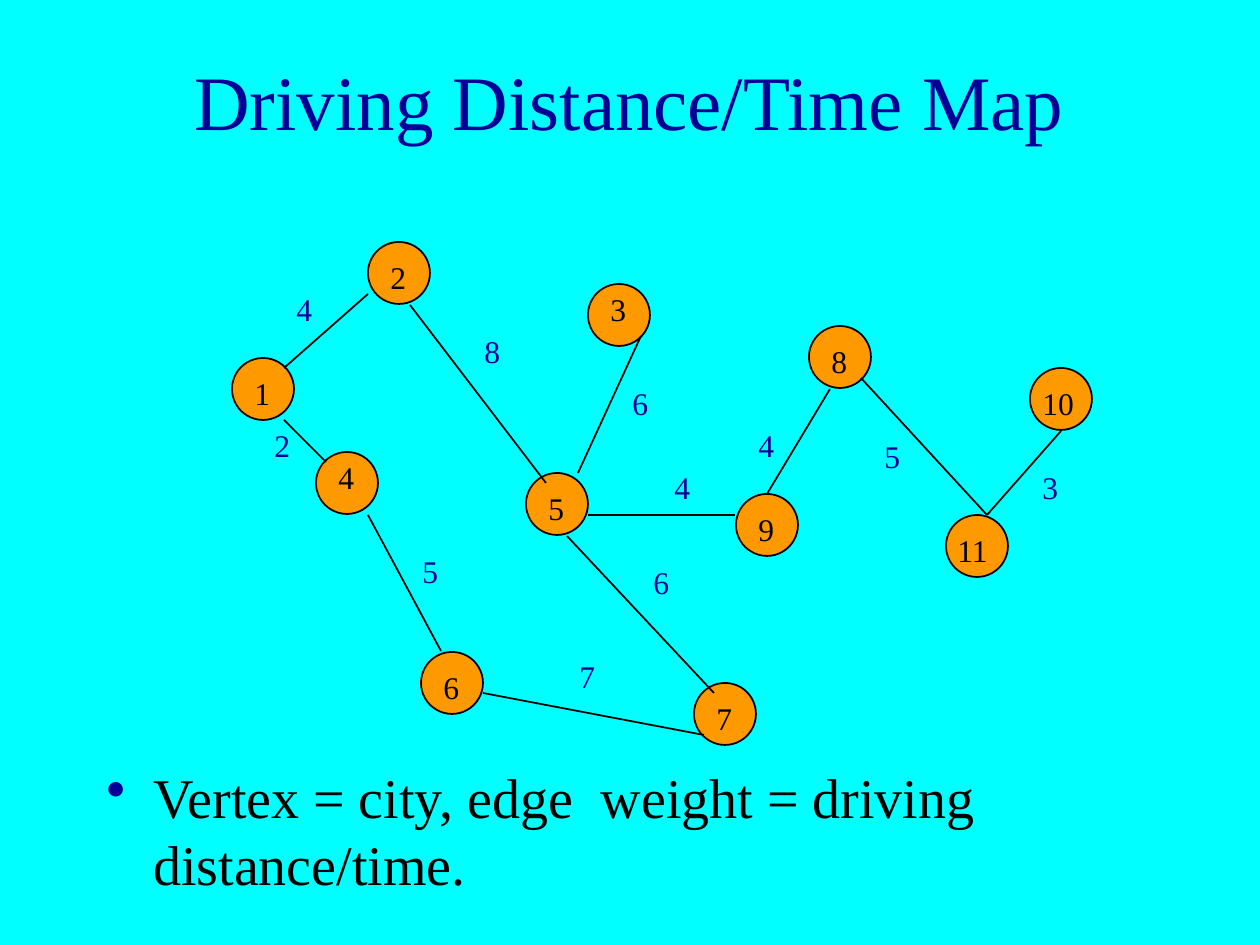
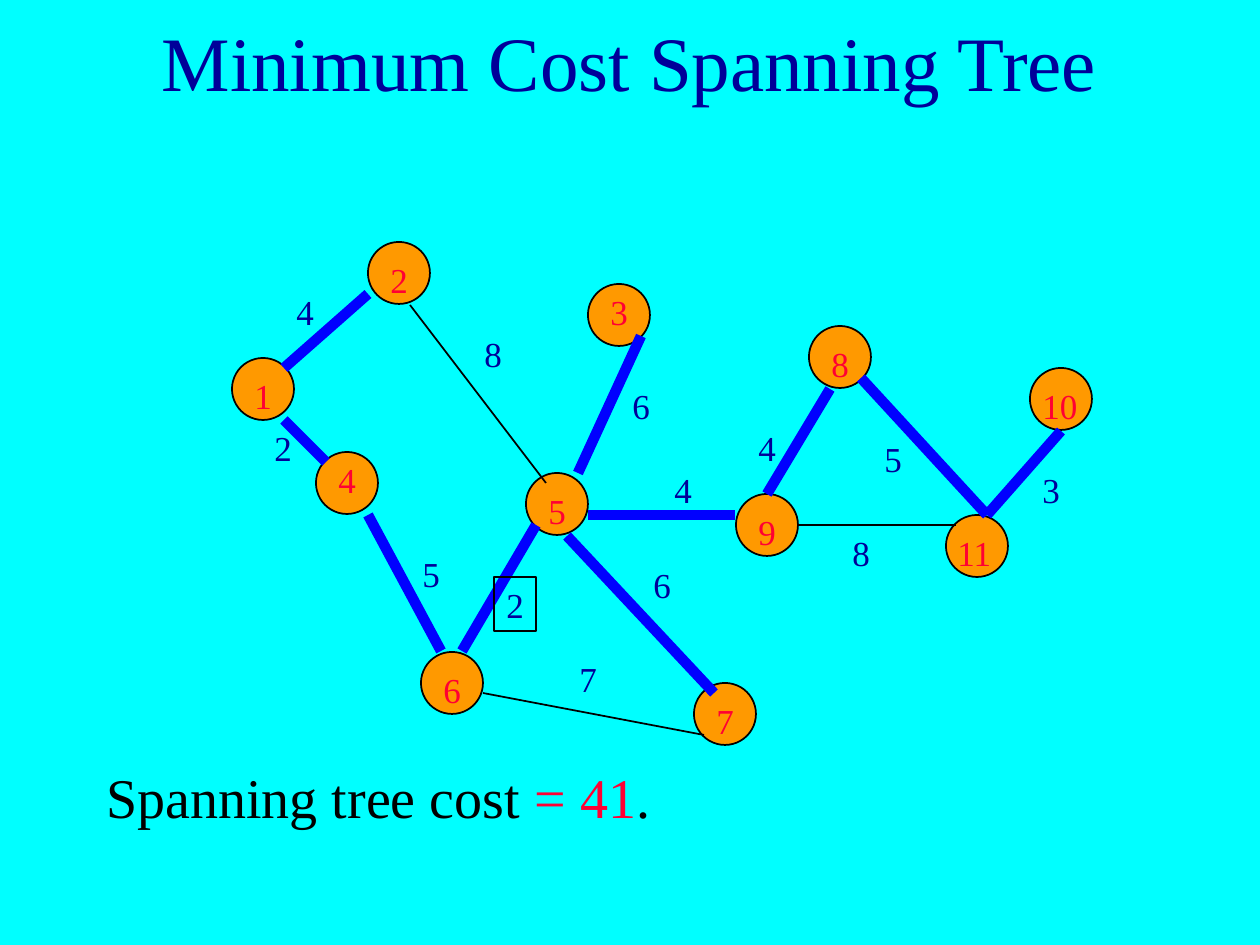
from typing import NamedTuple

from lxml import etree
from pptx import Presentation
from pptx.dml.color import RGBColor
from pptx.enum.shapes import MSO_CONNECTOR, MSO_SHAPE
from pptx.enum.text import MSO_ANCHOR, MSO_AUTO_SIZE, PP_ALIGN
from pptx.oxml.ns import qn
from pptx.util import Emu, Pt

STRAIGHT = MSO_CONNECTOR.STRAIGHT
ELLIPSE = MSO_SHAPE.OVAL
MIDDLE, TOP = MSO_ANCHOR.MIDDLE, MSO_ANCHOR.TOP
FIT_SHAPE, NO_FIT = MSO_AUTO_SIZE.SHAPE_TO_FIT_TEXT, MSO_AUTO_SIZE.NONE
CENTER, LEFT = PP_ALIGN.CENTER, PP_ALIGN.LEFT

EMU_PER_PIXEL = 914400 / 126
FONT = "Times New Roman"
COLORS = {
    "background": "00FFFF",
    "navy": "000099",
    "black": "000000",
    "red": "FF0033",
    "node": "FF9900",
    "tree": "0000FF",
}
BLANK_LAYOUT = 6
SIDE_MARGIN, TEXT_WIDTH = 94, 1071
NODE_SIZE, LABEL_HEIGHT, WEIGHT_WIDTH = 62, 54, 42
HANGING_INDENT = 47
THIN, THICK = 1, 6


class Node(NamedTuple):
    """A vertex: its number, circle corner, label corner and label width."""
    number: int
    corner: tuple
    label_corner: tuple
    label_width: int = 32


class Edge(NamedTuple):
    """A weighted edge: line ends, weight and corner of the weight label."""
    start: tuple
    end: tuple
    weight: int
    label_corner: tuple
    in_tree: bool = True
    boxed: bool = False


NODES = [
    Node(1, (232, 358), (242, 368)),
    Node(2, (368, 242), (378, 252)),
    Node(3, (588, 284), (598, 284)),
    Node(4, (316, 452), (326, 452)),
    Node(5, (526, 473), (536, 483)),
    Node(6, (421, 652), (431, 662)),
    Node(7, (694, 683), (704, 693)),
    Node(8, (809, 326), (819, 336)),
    Node(9, (736, 494), (746, 504)),
    Node(10, (1030, 368), (1030, 378), 63),
    Node(11, (946, 515), (945, 525), 105),
]
ROADS = [
    Edge((368, 294), (284, 368), 4, (284, 284)),
    Edge((410, 305), (546, 483), 8, (472, 326), in_tree=False),
    Edge((284, 420), (326, 462), 2, (262, 420)),
    Edge((368, 515), (441, 651), 5, (410, 546)),
    Edge((483, 693), (704, 735), 7, (567, 651), in_tree=False),
    Edge((641, 336), (578, 473), 6, (620, 378)),
    Edge((567, 536), (714, 693), 6, (641, 557)),
    Edge((830, 389), (767, 494), 4, (746, 420)),
    Edge((861, 378), (987, 515), 5, (872, 431)),
    Edge((987, 515), (1061, 431), 3, (1030, 462)),
    Edge((588, 515), (735, 515), 4, (662, 462)),
]
EXTRA_ROADS = [
    Edge((798, 525), (956, 525), 8, (840, 525), in_tree=False),
    Edge((536, 525), (462, 651), 2, (494, 577), boxed=True),
]


def px(length):
    """Turn pixels into EMU."""
    return Emu(round(length * EMU_PER_PIXEL))


def color(name):
    """Look up a named colour."""
    return RGBColor.from_string(COLORS[name])


def set_line(line, color_name, width):
    """Give an outline its colour and its width in points."""
    line.color.rgb = color(color_name)
    line.width = Pt(width)


def set_space_before(paragraph, percent):
    """Set the space before a paragraph as a share of the line height."""
    spacing = etree.Element(qn("a:spcBef"))
    etree.SubElement(spacing, qn("a:spcPct"), val=str(percent * 1000))
    paragraph._p.get_or_add_pPr().insert(0, spacing)


def set_hanging_indent(paragraph):
    """Hang the first line of a paragraph out to the left."""
    properties = paragraph._p.get_or_add_pPr()
    properties.set("marL", str(px(HANGING_INDENT)))
    properties.set("indent", str(px(-HANGING_INDENT)))


def add_bullet(paragraph):
    """Put a navy bullet before a paragraph."""
    properties = paragraph._p.get_or_add_pPr()
    bullet_color = etree.Element(qn("a:buClr"))
    etree.SubElement(bullet_color, qn("a:srgbClr"), val=COLORS["navy"])
    bullet = etree.Element(qn("a:buChar"), char="•")
    properties.insert_element_before(bullet_color, "a:defRPr")
    properties.insert_element_before(bullet, "a:defRPr")


def add_text(slide, corner, size, text, points, color_name,
             align=LEFT, anchor=TOP, fit=NO_FIT):
    """Add a one-paragraph text box and return it with its paragraph."""
    box = slide.shapes.add_textbox(*map(px, corner + size))
    frame = box.text_frame
    frame.word_wrap = True
    frame.auto_size = fit
    frame.vertical_anchor = anchor
    paragraph = frame.paragraphs[0]
    paragraph.alignment = align
    paragraph.font.name = FONT
    paragraph.font.size = Pt(points)
    paragraph.font.color.rgb = color(color_name)
    paragraph.add_run().text = text
    return box, paragraph


def add_title(slide, text, top, height):
    """Add the centred slide title."""
    add_text(slide, (SIDE_MARGIN, top), (TEXT_WIDTH, height), text, 44,
             "navy", CENTER, MIDDLE)


def add_statement(slide, text):
    """Add the line of text below the graph and return its paragraph."""
    _, paragraph = add_text(slide, (SIDE_MARGIN, 756), (TEXT_WIDTH, 158),
                            text, 32, "black")
    set_space_before(paragraph, 20)
    set_hanging_indent(paragraph)
    return paragraph


def add_label(slide, corner, width, value, points, color_name):
    """Add a number of the graph and return its box."""
    box, paragraph = add_text(slide, corner, (width, LABEL_HEIGHT), str(value),
                              points, color_name, fit=FIT_SHAPE)
    set_space_before(paragraph, 50)
    return box


def add_circle(slide, corner):
    """Add the circle of a vertex."""
    circle = slide.shapes.add_shape(
        ELLIPSE, *map(px, corner + (NODE_SIZE, NODE_SIZE)))
    circle.shadow.inherit = False
    circle.fill.solid()
    circle.fill.fore_color.rgb = color("node")
    set_line(circle.line, "black", THIN)


def add_edge_line(slide, edge, highlighted):
    """Add the line of an edge, thick and blue when highlighted."""
    connector = slide.shapes.add_connector(
        STRAIGHT, *map(px, edge.start + edge.end))
    if highlighted:
        set_line(connector.line, "tree", THICK)
    else:
        set_line(connector.line, "black", THIN)
    etree.SubElement(connector._element.spPr, qn("a:effectLst"))


def add_graph(slide, edges, points, number_color, show_tree=False):
    """Draw the circles, the edges and then all numbers."""
    for node in NODES:
        add_circle(slide, node.corner)
    for edge in edges:
        add_edge_line(slide, edge, show_tree and edge.in_tree)
    for node in NODES:
        add_label(slide, node.label_corner, node.label_width, node.number,
                  points, number_color)
    for edge in edges:
        box = add_label(slide, edge.label_corner, WEIGHT_WIDTH, edge.weight,
                        points, "navy")
        if edge.boxed:
            set_line(box.line, "black", 0.75)


def add_slide(presentation):
    """Add a blank slide with the shared background."""
    slide = presentation.slides.add_slide(
        presentation.slide_layouts[BLANK_LAYOUT])
    slide.background.fill.solid()
    slide.background.fill.fore_color.rgb = color("background")
    return slide


def add_map_slide(presentation):
    """Build the slide with the road map."""
    slide = add_slide(presentation)
    add_title(slide, "Driving Distance/Time Map", 21, 158)
    statement = add_statement(
        slide, "Vertex = city, edge  weight = driving distance/time.")
    add_bullet(statement)
    add_graph(slide, ROADS, 18, "black")


def add_tree_slide(presentation):
    """Build the slide with the spanning tree."""
    slide = add_slide(presentation)
    add_title(slide, "Minimum Cost Spanning Tree", 10, 102)
    statement = add_statement(slide, "Spanning tree cost ")
    cost = statement.add_run()
    cost.text = "= 41"
    cost.font.color.rgb = color("red")
    statement.add_run().text = "."
    add_graph(slide, ROADS + EXTRA_ROADS, 20, "red", show_tree=True)


def main():
    """Build and save the presentation."""
    presentation = Presentation()
    presentation.slide_width = px(1260)
    presentation.slide_height = px(945)
    add_map_slide(presentation)
    add_tree_slide(presentation)
    presentation.save("out.pptx")


main()
